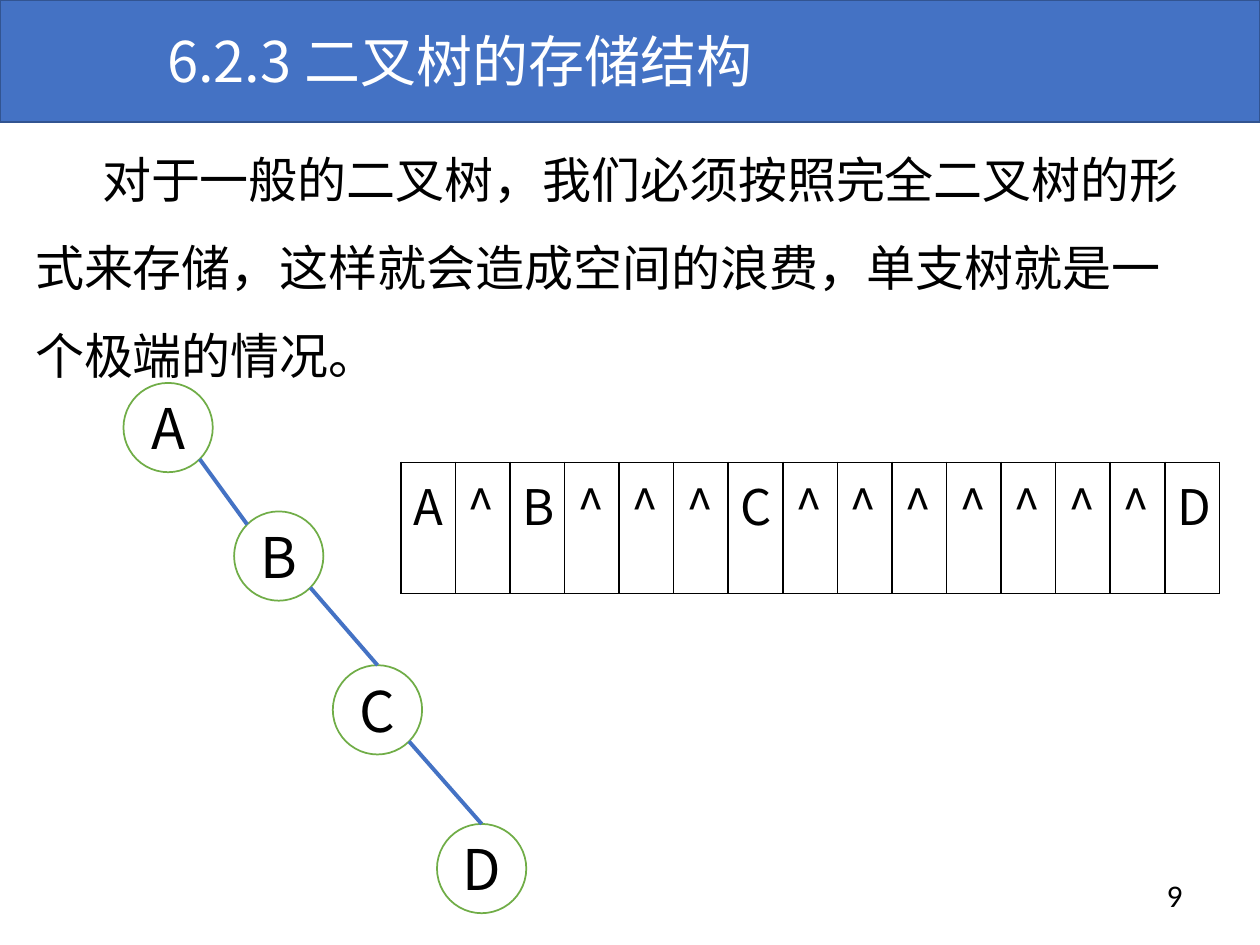
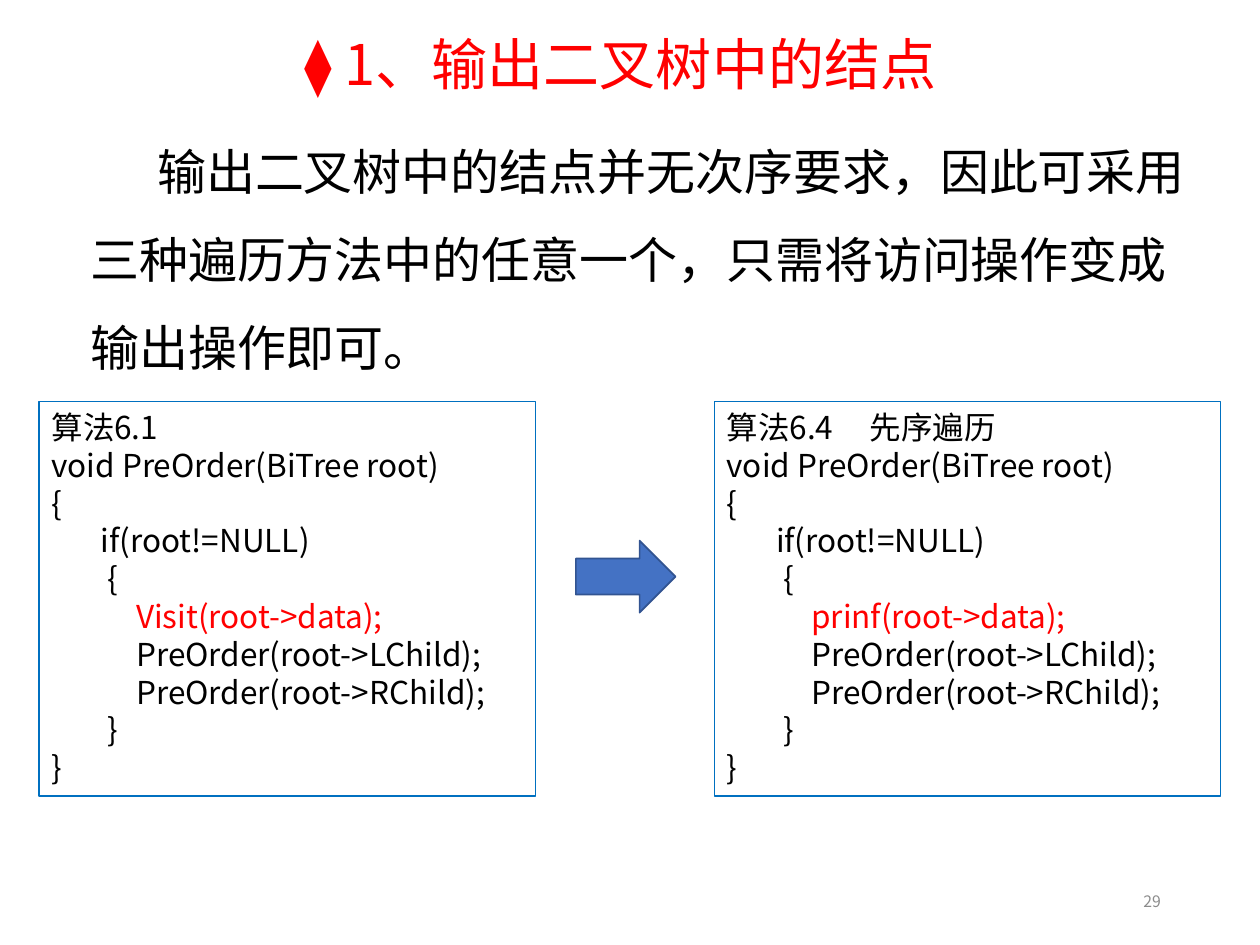
"""Build two lecture slides on storing and traversing binary trees."""
import math
from dataclasses import dataclass
from typing import Any

import lxml.etree
import pptx
import pptx.dml.color
import pptx.enum.shapes
import pptx.enum.text
import pptx.oxml.ns
import pptx.util

Cm = pptx.util.Cm
Pt = pptx.util.Pt
qn = pptx.oxml.ns.qn
PRESET = pptx.enum.shapes.MSO_SHAPE
ALIGN = pptx.enum.text.PP_ALIGN
ANCHOR = pptx.enum.text.MSO_ANCHOR

COLORS = {
    "black": "000000",
    "white": "FFFFFF",
    "red": "FF0000",
    "grey": "8C8C8C",
    "blue": "4472C4",
    "navy": "325491",
    "green": "70AD47",
    "frame": "0070C0",
}
FONT = "Noto Sans CJK SC"
NODE_SIZE = 1.8


@dataclass(frozen=True)
class Box:
    left: float
    top: float
    width: float
    height: float

    def lengths(self) -> tuple[int, int, int, int]:
        return Cm(self.left), Cm(self.top), Cm(self.width), Cm(self.height)


@dataclass(frozen=True)
class TextStyle:
    size: float
    color: str = "black"
    font: str = FONT
    align: Any = ALIGN.LEFT
    anchor: Any = ANCHOR.TOP
    spacing: float = 1.0
    indent: float = 0
    tab: float = 0
    grow: bool = True


@dataclass(frozen=True)
class TreeNode:
    label: str
    left: float
    top: float
    entry_angle: float = 270

    def rim(self, angle: float) -> tuple[int, int]:
        radius = NODE_SIZE / 2
        turn = math.radians(angle)
        return (Cm(self.left + radius + radius * math.cos(turn)),
                Cm(self.top + radius + radius * math.sin(turn)))


@dataclass(frozen=True)
class Listing:
    heading: str
    visit: str
    box: Box

    def lines(self) -> list[str]:
        return [
            self.heading,
            "void PreOrder(BiTree root)",
            "{",
            "       if(root!=NULL)",
            "        {",
            f"            {self.visit}",
            "            PreOrder(root->LChild);",
            "            PreOrder(root->RChild);",
            "        }",
            "}",
        ]


BODY = TextStyle(28, spacing=1.5, indent=1.35)
NODE = TextStyle(32, align=ALIGN.CENTER, anchor=ANCHOR.MIDDLE, grow=False)
CELL = TextStyle(28)
CODE = TextStyle(18, tab=2.88)

TREE = [
    TreeNode("A", 2.49, 7.72),
    TreeNode("B", 4.72, 10.31, 225),
    TreeNode("C", 6.71, 13.41),
    TreeNode("D", 8.81, 16.61),
]
LISTINGS = [
    Listing("算法6.1", "Visit(root->data);", Box(0.79, 8.1, 10.01, 7.95)),
    Listing("算法6.4\t先序遍历", "prinf(root->data);", Box(14.4, 8.1, 10.21, 7.95)),
]


def rgb(color: str) -> pptx.dml.color.RGBColor:
    return pptx.dml.color.RGBColor.from_string(COLORS[color])


def style_paragraph(paragraph: Any, style: TextStyle) -> None:
    paragraph.alignment = style.align
    paragraph.line_spacing = style.spacing
    props = paragraph._p.get_or_add_pPr()
    if style.indent:
        props.set("indent", str(Cm(style.indent)))
    if style.tab:
        stops = lxml.etree.SubElement(props, qn("a:tabLst"))
        lxml.etree.SubElement(stops, qn("a:tab"), pos=str(Cm(style.tab)), algn="l")
    font = paragraph.font
    font.size = Pt(style.size)
    font.color.rgb = rgb(style.color)
    font.name = style.font
    lxml.etree.SubElement(props.find(qn("a:defRPr")), qn("a:ea"), typeface=style.font)


def write(frame: Any, lines: list[str], style: TextStyle) -> None:
    frame.word_wrap = True
    frame.vertical_anchor = style.anchor
    if style.grow:
        frame.auto_size = pptx.enum.text.MSO_AUTO_SIZE.SHAPE_TO_FIT_TEXT
    for index, line in enumerate(lines):
        paragraph = frame.add_paragraph() if index else frame.paragraphs[0]
        paragraph.add_run().text = line
        style_paragraph(paragraph, style)


def add_text(slide: Any, box: Box, text: str, style: TextStyle) -> None:
    write(slide.shapes.add_textbox(*box.lengths()).text_frame, [text], style)


def add_preset(slide: Any, preset: Any, box: Box, line: str,
               weight: float = 1, fill: str | None = None) -> Any:
    shape = slide.shapes.add_shape(preset, *box.lengths())
    shape.shadow.inherit = False
    if fill:
        shape.fill.solid()
        shape.fill.fore_color.rgb = rgb(fill)
    else:
        shape.fill.background()
    shape.line.color.rgb = rgb(line)
    shape.line.width = Pt(weight)
    return shape


def add_title(slide: Any, box: Box, text: str, color: str, spacing: float = 1) -> None:
    add_text(slide, box, text, TextStyle(32, color, spacing=spacing))


def add_branch(slide: Any, parent: TreeNode, child: TreeNode) -> None:
    branch = slide.shapes.add_connector(
        pptx.enum.shapes.MSO_CONNECTOR.STRAIGHT,
        *parent.rim(45), *child.rim(child.entry_angle))
    branch.line.color.rgb = rgb("blue")
    branch.line.width = Pt(2.25)
    lxml.etree.SubElement(branch._element.spPr, qn("a:effectLst"))


def add_tree_node(slide: Any, node: TreeNode) -> None:
    circle = add_preset(slide, PRESET.OVAL, Box(node.left, node.top, NODE_SIZE, NODE_SIZE),
                        "green", fill="white")
    frame = circle.text_frame
    frame.margin_left = frame.margin_right = frame.margin_top = frame.margin_bottom = 0
    write(frame, [node.label], NODE)


def outline_cell(cell: Any) -> None:
    props = cell._tc.get_or_add_tcPr()
    for side in ("lnL", "lnR", "lnT", "lnB"):
        border = lxml.etree.SubElement(props, qn(f"a:{side}"), w=str(Pt(1)))
        paint = lxml.etree.SubElement(border, qn("a:solidFill"))
        lxml.etree.SubElement(paint, qn("a:srgbClr"), val=COLORS["black"])
    cell.fill.background()


def add_storage_array(slide: Any, nodes: list[TreeNode]) -> None:
    slots = ["^"] * (2 ** len(nodes) - 1)
    for depth, node in enumerate(nodes, start=1):
        slots[2 ** depth - 2] = node.label
    box = Box(8.08, 9.32, 1.1 * len(slots), 2.64)
    array = slide.shapes.add_table(1, len(slots), *box.lengths()).table
    array.first_row = False
    array.horz_banding = False
    for column, label in enumerate(slots):
        array.columns[column].width = Cm(1.1)
        cell = array.cell(0, column)
        cell.text = label
        style_paragraph(cell.text_frame.paragraphs[0], CELL)
        outline_cell(cell)


def add_listing(slide: Any, listing: Listing) -> None:
    frame = add_preset(slide, PRESET.RECTANGLE, listing.box, "frame", 0.75).text_frame
    write(frame, listing.lines(), CODE)
    for paragraph in frame.paragraphs:
        if listing.visit in paragraph.text:
            paragraph.runs[0].font.color.rgb = rgb("red")


def build_storage_slide(slide: Any) -> None:
    add_text(slide, Box(23.27, 17.53, 2, 1.02), "9",
             TextStyle(18, font="Calibri", grow=False))
    add_preset(slide, PRESET.RECTANGLE, Box(0, 0, 25.4, 2.46), "navy", fill="blue")
    add_title(slide, Box(3.12, 0.41, 17.7, 3), "6.2.3 二叉树的存储结构", "white")
    add_text(slide, Box(0.46, 2.29, 23.67, 5.44),
             "对于一般的二叉树，我们必须按照完全二叉树的形式来存储，"
             "这样就会造成空间的浪费，单支树就是一个极端的情况。", BODY)
    for node in TREE:
        add_tree_node(slide, node)
    for parent, child in zip(TREE, TREE[1:]):
        add_branch(slide, parent, child)
    add_storage_array(slide, TREE)


def build_output_slide(slide: Any) -> None:
    add_title(slide, Box(5.89, -0.2, 17.27, 2.06), "⧫ 1、输出二叉树中的结点", "red", 1.5)
    add_text(slide, Box(17.93, 17.65, 5.72, 1.02), "29",
             TextStyle(9, "grey", align=ALIGN.RIGHT, anchor=ANCHOR.MIDDLE, grow=False))
    explanation = add_preset(slide, PRESET.RECTANGLE, Box(1.57, 2.13, 22.71, 5.44),
                             "white", 0.75)
    write(explanation.text_frame,
          ["输出二叉树中的结点并无次序要求，因此可采用三种遍历方法中的任意一个，"
           "只需将访问操作变成输出操作即可。"], BODY)
    for listing in LISTINGS:
        add_listing(slide, listing)
    add_preset(slide, PRESET.RIGHT_ARROW, Box(11.61, 10.9, 2.01, 1.45), "navy", fill="blue")


def main() -> None:
    deck = pptx.Presentation()
    deck.slide_width, deck.slide_height = Cm(25.4), Cm(19.05)
    for build in (build_storage_slide, build_output_slide):
        build(deck.slides.add_slide(deck.slide_layouts[6]))
    deck.save("out.pptx")


if __name__ == "__main__":
    main()
